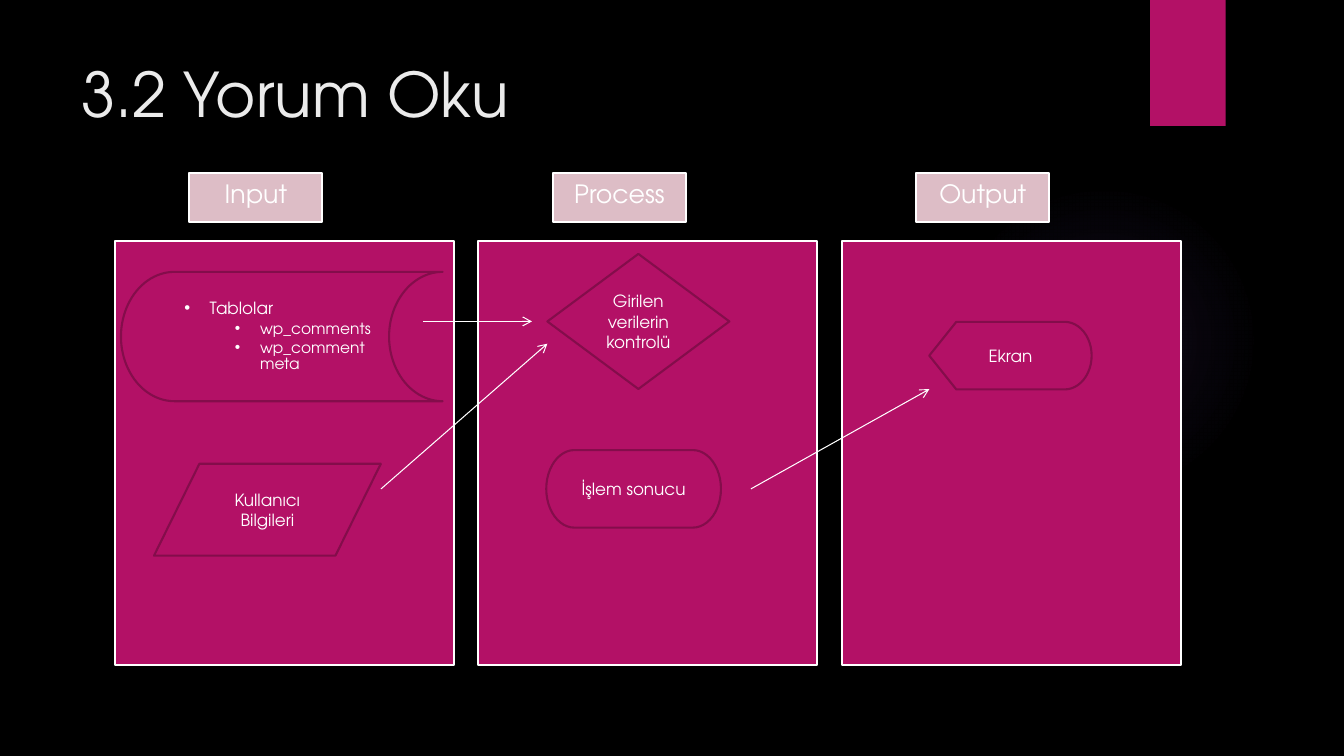
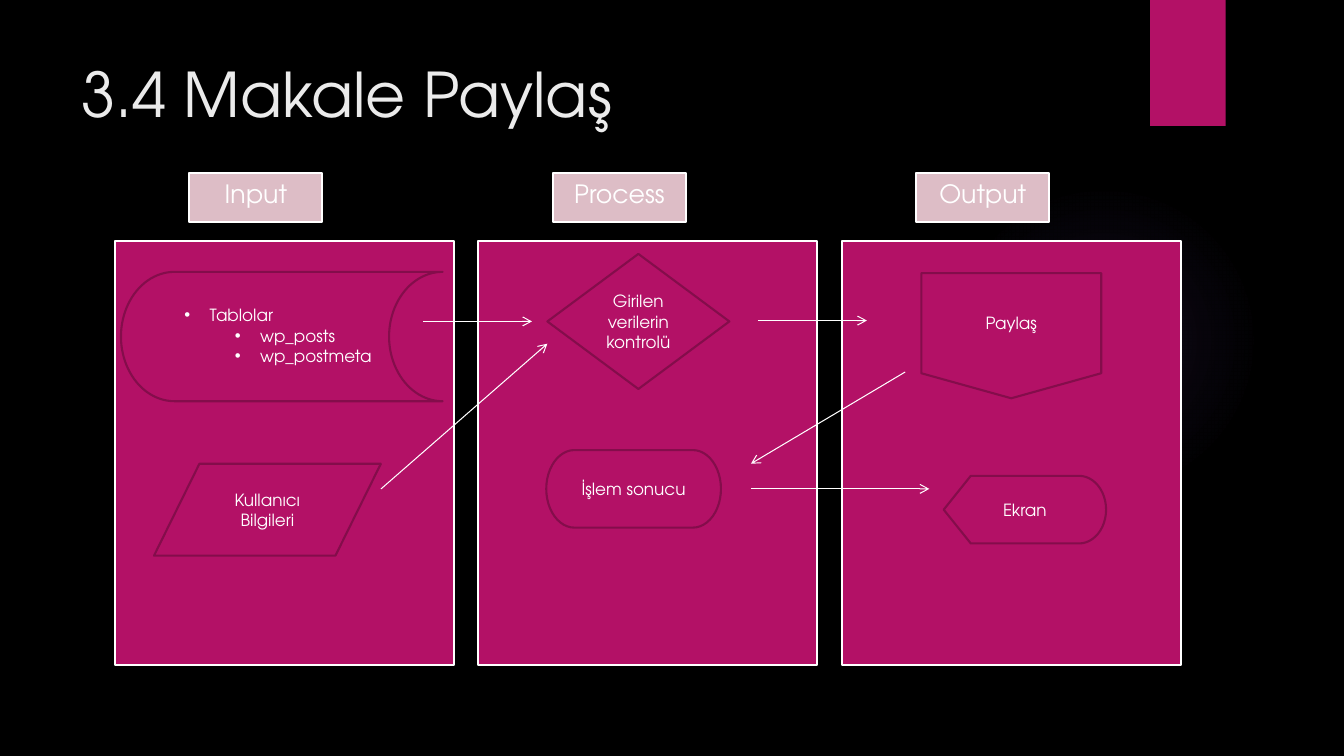
from dataclasses import dataclass

import pptx
import pptx.dml.color
import pptx.enum.shapes
import pptx.enum.text
import pptx.oxml
import pptx.oxml.ns
import pptx.util

Pt = pptx.util.Pt
MSO = pptx.enum.shapes.MSO_SHAPE
ALIGN = pptx.enum.text.PP_ALIGN
ANCHOR = pptx.enum.text.MSO_ANCHOR
NS = pptx.oxml.ns.nsdecls("a")


@dataclass(frozen=True)
class Theme:
    font: str = "TeX Gyre Adventor"
    background: str = "000000"
    accent: str = "B31166"
    outline: str = "840D4B"
    label: str = "DDBDC6"
    white: str = "FFFFFF"
    title: str = "EBEBEB"
    glow: str = "9B6BF2"
    title_size: float = 44
    label_size: float = 18
    body_size: float = 12
    small_size: float = 11
    border: float = 1.5
    arrow: float = 0.75


T = Theme()

COLUMNS = ["Input", "Process", "Output"]
COLUMN_LEFT, COLUMN_PITCH = 82.1, 259.6
PANEL_TOP, PANEL_W, PANEL_H = 172, 242, 302.8
LABEL_TOP, LABEL_W, LABEL_H = 123.6, 95, 34.8

TITLE_BOX = (51, 36, 741, 110)
BOOKMARK_BOX = (821.6, 0, 53.9, 90)
GLOW_BOX = (677.5, 131.8, 221.8, 221.8)
GLOW_STOPS = [(0, 7), (36, 6), (69, 0)]

STORAGE_BOX = (86.4, 194.2, 229.8, 92.4)
SHARED_NODES = [
    (MSO.FLOWCHART_DECISION, (391, 181.4, 130, 96.5), "Girilen verilerin kontrolü"),
    (MSO.FLOWCHART_DATA, (110, 331.3, 162, 65.6), "Kullanıcı Bilgileri"),
    (MSO.FLOWCHART_TERMINATOR, (390.2, 321.5, 124.8, 55.4), "İşlem sonucu"),
]
SHARED_ARROWS = [(302.4, 229.6, 380, 229.6), (272.2, 349.2, 391, 245.5)]

SLIDES = [
    {
        "title": "3.2 Yorum Oku",
        "tables": ["wp_comments", "wp_commentmeta"],
        "table_size": T.small_size,
        "nodes": [(MSO.FLOWCHART_DISPLAY, (663.8, 229.9, 116, 48.3), "Ekran")],
        "arrows": [(536.4, 349.2, 663.8, 278)],
    },
    {
        "title": "3.4 Makale Paylaş",
        "tables": ["wp_posts", "wp_postmeta"],
        "table_size": T.body_size,
        "nodes": [
            (MSO.FLOWCHART_DISPLAY, (674.1, 339.9, 116, 48.3), "Ekran"),
            (MSO.FLOWCHART_OFFPAGE_CONNECTOR, (658.1, 195.1, 128.5, 89.4), "Paylaş"),
        ],
        "arrows": [
            (536.4, 349.2, 663.8, 349.2),
            (541.4, 229, 619.2, 229),
            (646.6, 265.7, 536.4, 331.2),
        ],
    },
]


def rgb(color):
    return pptx.dml.color.RGBColor.from_string(color)


def write(p, text, size=T.body_size, color=T.white, align=ALIGN.CENTER):
    p.alignment = align
    r = p.add_run()
    r.text = text
    r.font.name = T.font
    r.font.size = Pt(size)
    r.font.color.rgb = rgb(color)


def add_box(s, kind, box, fill=T.accent, line=None, anchor=ANCHOR.MIDDLE):
    sp = s.shapes.add_shape(kind, *map(Pt, box))
    sp.shadow.inherit = False
    sp.fill.solid()
    sp.fill.fore_color.rgb = rgb(fill)
    if line:
        sp.line.color.rgb = rgb(line)
        sp.line.width = Pt(T.border)
    else:
        sp.line.fill.background()
    sp.text_frame.word_wrap = True
    sp.text_frame.vertical_anchor = anchor
    return sp


def add_arrow(s, ends):
    c = s.shapes.add_connector(pptx.enum.shapes.MSO_CONNECTOR.STRAIGHT, *map(Pt, ends))
    c.line.color.rgb = rgb(T.white)
    c.line.width = Pt(T.arrow)
    c.line._get_or_add_ln().append(pptx.oxml.parse_xml(f'<a:tailEnd {NS} type="arrow"/>'))
    c.element.spPr.append(pptx.oxml.parse_xml(f"<a:effectLst {NS}/>"))


def add_bullet(p, text, size, indent):
    write(p, text, size, align=ALIGN.LEFT)
    p.line_spacing = 0.9
    p.space_after = Pt(0.15 * size)
    pPr = p._p.get_or_add_pPr()
    pPr.set("marL", str(Pt(indent)))
    pPr.set("indent", str(Pt(-18)))
    pPr.append(pptx.oxml.parse_xml(f'<a:buFont {NS} typeface="Arial"/>'))
    pPr.append(pptx.oxml.parse_xml(f'<a:buChar {NS} char="•"/>'))


def add_storage(s, tables, size):
    tf = add_box(s, MSO.FLOWCHART_STORED_DATA, STORAGE_BOX, line=T.outline).text_frame
    add_bullet(tf.paragraphs[0], "Tablolar", T.body_size, 18)
    for table in tables:
        add_bullet(tf.add_paragraph(), table, size, 54)


def add_columns(s):
    for i, name in enumerate(COLUMNS):
        left = COLUMN_LEFT + i * COLUMN_PITCH
        add_box(s, MSO.RECTANGLE, (left, PANEL_TOP, PANEL_W, PANEL_H), line=T.white)
        label_box = (left + 53.2, LABEL_TOP, LABEL_W, LABEL_H)
        sp = add_box(s, MSO.RECTANGLE, label_box, T.label, T.white, ANCHOR.TOP)
        write(sp.text_frame.paragraphs[0], name, T.label_size)


def style_layout(prs, layout):
    fill = prs.slide_master.background.fill
    fill.solid()
    fill.fore_color.rgb = rgb(T.background)
    for ph in list(layout.placeholders):
        if ph.placeholder_format.type == pptx.enum.shapes.PP_PLACEHOLDER.TITLE:
            ph.left, ph.top, ph.width, ph.height = map(Pt, TITLE_BOX)
            ph.text_frame.vertical_anchor = ANCHOR.TOP
        else:
            ph.element.getparent().remove(ph.element)


def add_backdrop(s, layout):
    glow = add_box(s, MSO.OVAL, GLOW_BOX, T.glow)
    stops = "".join(
        f'<a:gs pos="{pos * 1000}"><a:srgbClr val="{T.glow}">'
        f'<a:alpha val="{alpha * 1000}"/></a:srgbClr></a:gs>'
        for pos, alpha in GLOW_STOPS
    )
    gradient = pptx.oxml.parse_xml(
        f'<a:gradFill {NS} rotWithShape="1"><a:gsLst>{stops}</a:gsLst><a:path path="circle">'
        '<a:fillToRect l="50000" t="50000" r="50000" b="50000"/></a:path></a:gradFill>'
    )
    spPr = glow.element.spPr
    spPr.replace(spPr.find(pptx.oxml.ns.qn("a:solidFill")), gradient)
    bookmark = add_box(s, MSO.RECTANGLE, BOOKMARK_BOX)
    for sp in (glow, bookmark):
        layout.shapes.element.append(sp.element)


def add_content(s, data):
    tf = s.shapes.title.text_frame
    tf.vertical_anchor = ANCHOR.TOP
    write(tf.paragraphs[0], data["title"], T.title_size, T.title, ALIGN.LEFT)
    add_columns(s)
    add_storage(s, data["tables"], data["table_size"])
    for kind, box, text in SHARED_NODES + data["nodes"]:
        sp = add_box(s, kind, box, line=T.outline)
        write(sp.text_frame.paragraphs[0], text)
    for ends in SHARED_ARROWS + data["arrows"]:
        add_arrow(s, ends)


def main():
    prs = pptx.Presentation()
    prs.slide_width, prs.slide_height = Pt(960), Pt(540)
    layout = prs.slide_layouts.get_by_name("Title Only")
    style_layout(prs, layout)
    for i, data in enumerate(SLIDES):
        s = prs.slides.add_slide(layout)
        if i == 0:
            add_backdrop(s, layout)
        add_content(s, data)
    prs.save("out.pptx")


if __name__ == "__main__":
    main()
